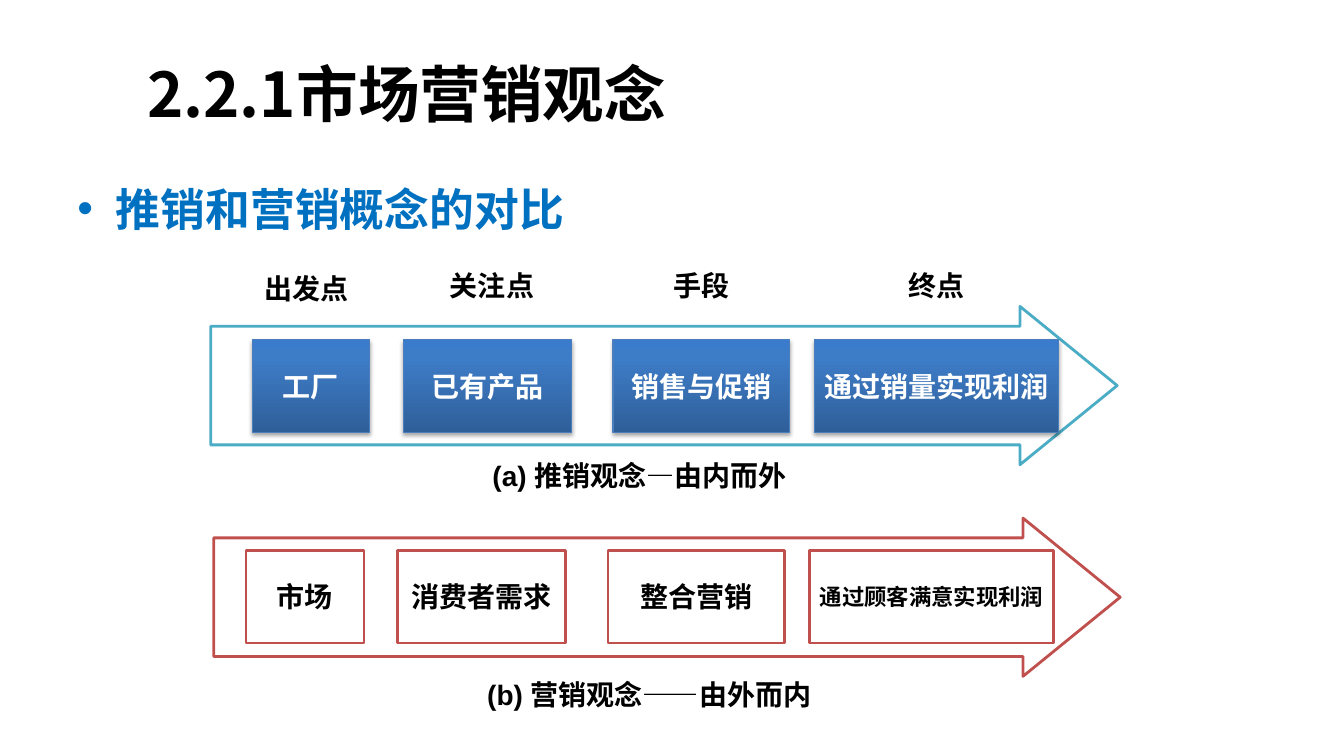
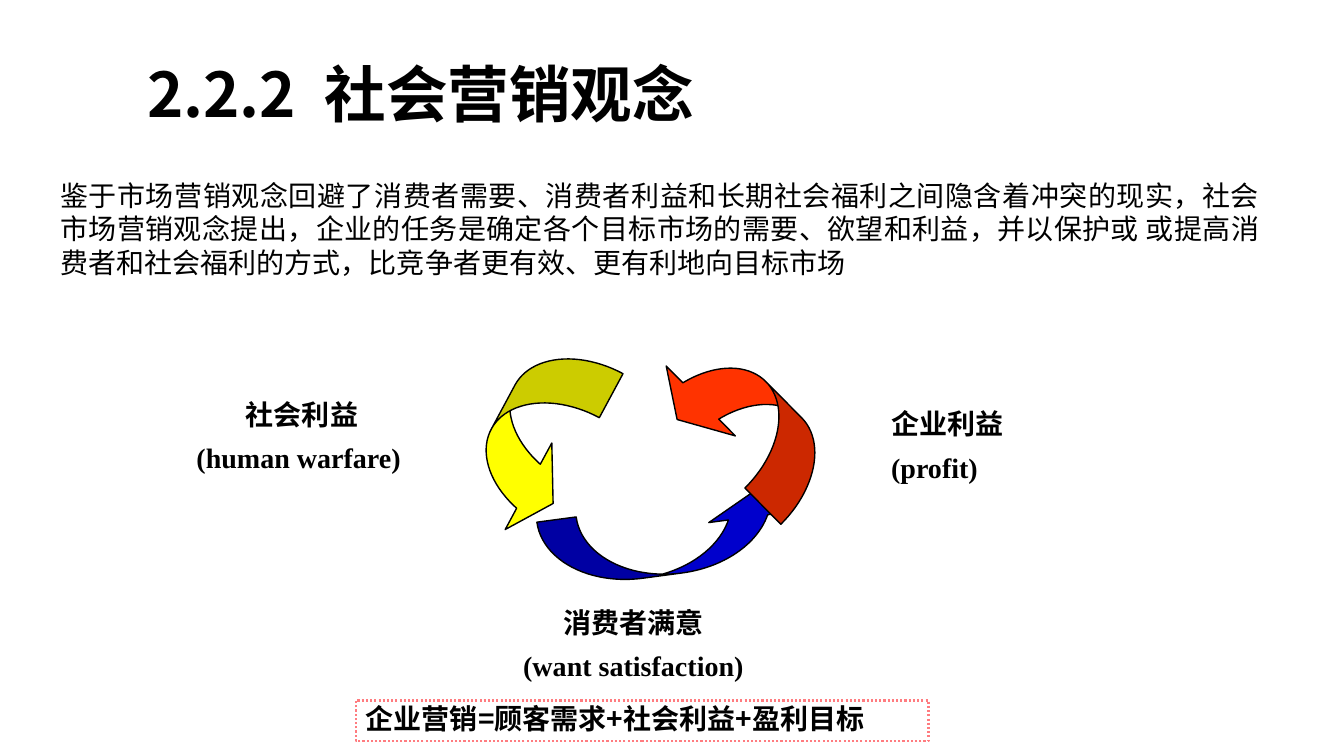
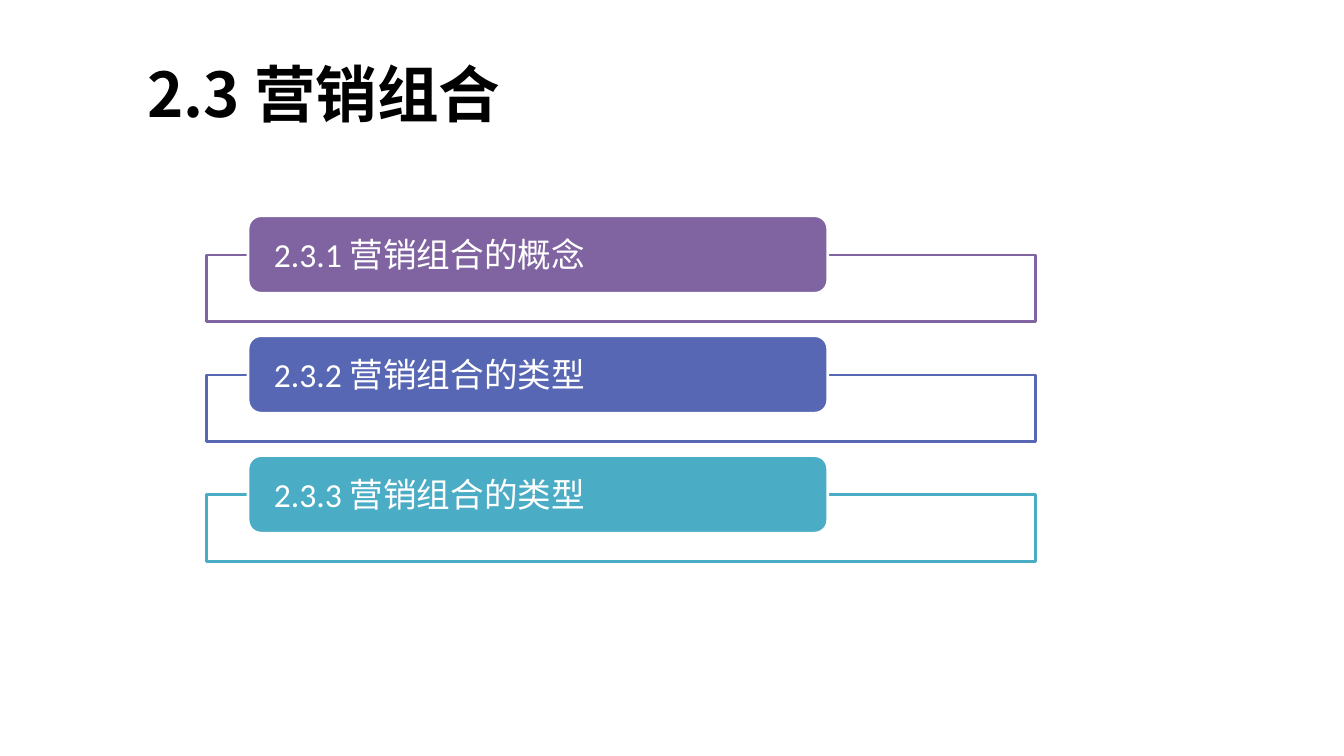
from dataclasses import dataclass
from lxml.etree import SubElement as Sub
from pptx import Presentation
from pptx.dml.color import RGBColor as Rgb
from pptx.enum.dml import MSO_LINE as Dash
from pptx.enum.shapes import MSO_SHAPE as Kind
from pptx.enum.text import MSO_ANCHOR as Anchor, MSO_AUTO_SIZE as Auto, PP_ALIGN as Align
from pptx.oxml.ns import qn
from pptx.shapes.autoshape import Shape
from pptx.slide import Slide
from pptx.util import Emu, Pt

SCALE = 9144
SANS = "Noto Sans CJK SC"
SERIF = "Times New Roman"
HEX = {
    "black": "000000", "white": "FFFFFF", "head": "0070C0",
    "red": "C0504D", "teal": "4BACC6", "edge": "4B7EBC",
    "purple": "8064A2", "indigo": "5767B4", "pink": "FF7C80",
    "blue": "0000CC", "flame": "FF3300", "yellow": "FFFF00",
    "deep": "2F5F99", "mid": "3D7CC7", "light": "3A7CCB",
}
GLOSS = ((0, "deep"), (80, "mid"), (100, "light"))


@dataclass(frozen=True)
class Box:
    left: int
    top: int
    wide: int
    high: int


@dataclass(frozen=True)
class Style:
    size: int = 20
    font: str = "Arial"
    color: str = "black"
    bold: bool = True
    align: Align = Align.CENTER
    anchor: Anchor = Anchor.MIDDLE
    wrap: bool = False
    line: float = 1.0
    inset: tuple[int, int] = (10, 5)


@dataclass(frozen=True)
class Step:
    left: int
    wide: int
    text: str
    size: int = 20


@dataclass(frozen=True)
class Flow:
    arrow: Box
    left: int
    top: int
    color: str
    gloss: bool
    steps: tuple[Step, ...]
    note: str
    place: Box


@dataclass(frozen=True)
class Curve:
    box: Box
    turn: float
    color: str
    bend: float = 0.569


TITLE = Style(44, SANS, align=Align.LEFT, wrap=True)
POINT = Style(32, SANS, "head", align=Align.LEFT, anchor=Anchor.TOP, wrap=True)
LABEL = Style(line=0.75)
NAME = Style(font=SERIF, anchor=Anchor.TOP, wrap=True)
GLOSSARY = Style(font=SERIF, align=Align.LEFT, anchor=Anchor.TOP, wrap=True)
BODY = Style(font="Calibri", bold=False, align=Align.JUSTIFY, anchor=Anchor.TOP, wrap=True)
SUM = Style(font=SANS, align=Align.LEFT, anchor=Anchor.TOP, wrap=True, line=0.9)
ITEM = Style(24, "Calibri", "white", False, Align.LEFT, wrap=True, inset=(22, 0))

FLOWS = (
    Flow(Box(212, 514, 899, 157), 244, 546, "red", False,
         (Step(0, 117, "市场"), Step(150, 167, "消费者需求"),
          Step(359, 175, "整合营销"), Step(559, 242, "通过顾客满意实现利润", 16)),
         "(b) 营销观念——由外而内", Box(203, 671, 882, 42)),
    Flow(Box(209, 304, 899, 157), 250, 337, "teal", True,
         (Step(0, 117, "工厂"), Step(150, 167, "已有产品"),
          Step(358, 175, "销售与促销"), Step(558, 242, "通过销量实现利润")),
         "(a) 推销观念—由内而外", Box(225, 454, 819, 42)),
)
HEADS = (
    (Box(233, 259, 142, 61), "出发点"),
    (Box(417, 245, 142, 83), "关注点"),
    (Box(625, 245, 142, 83), "手段"),
    (Box(858, 245, 142, 83), "终点"),
)
CURVES = (
    Curve(Box(536, 501, 253, 69), 352.4, "blue"),
    Curve(Box(640, 375, 195, 89), 225.3, "flame"),
    Curve(Box(435, 391, 195, 89), 118.3, "yellow", 0.557),
)
GOALS = (
    (Box(187, 389, 225, 44), "社会利益", NAME),
    (Box(831, 398, 217, 44), "企业利益", NAME),
    (Box(412, 596, 433, 44), "消费者满意", NAME),
    (Box(509, 638, 291, 44), "(want satisfaction)", GLOSSARY),
    (Box(185, 432, 291, 44), "(human warfare)", GLOSSARY),
    (Box(874, 442, 173, 44), "(profit)", GLOSSARY),
    (Box(50, 172, 1209, 111),
     "鉴于市场营销观念回避了消费者需要、消费者利益和长期社会福利之间隐含着冲突的现实，"
     "社会市场营销观念提出，企业的任务是确定各个目标市场的需要、欲望和利益，并以保护或 "
     "或提高消费者和社会福利的方式，比竞争者更有效、更有利地向目标市场", BODY),
)
PARTS = (
    ("purple", "2.3.1 营销组合的概念"),
    ("indigo", "2.3.2 营销组合的类型"),
    ("teal", "2.3.3 营销组合的类型"),
)


def px(num: int) -> Emu:
    return Emu(num * SCALE)


def tint(name: str) -> Rgb:
    return Rgb.from_string(HEX[name])


def frame(box: Box) -> tuple[Emu, Emu, Emu, Emu]:
    return px(box.left), px(box.top), px(box.wide), px(box.high)


def write(shape: Shape, text: str, style: Style, bullet: bool = False) -> None:
    body = shape.text_frame
    body.auto_size = Auto.NONE
    body.word_wrap = style.wrap
    body.vertical_anchor = style.anchor
    body.margin_left = body.margin_right = px(style.inset[0])
    body.margin_top = body.margin_bottom = px(style.inset[1])
    para = body.paragraphs[0]
    para.alignment = style.align
    para.line_spacing = style.line
    if bullet:
        prop = para._p.get_or_add_pPr()
        prop.set("marL", str(px(38)))
        prop.set("indent", str(px(-38)))
        Sub(prop, qn("a:buFont"), typeface="Arial")
        Sub(prop, qn("a:buChar"), char="•")
    run = para.add_run()
    run.text = text
    run.font.size = Pt(style.size)
    run.font.bold = style.bold
    run.font.color.rgb = tint(style.color)
    run.font.name = style.font
    Sub(run._r.get_or_add_rPr(), qn("a:ea"), typeface=SANS)


def label(slide: Slide, box: Box, text: str, style: Style, bullet: bool = False) -> None:
    write(slide.shapes.add_textbox(*frame(box)), text, style, bullet)


def draw(slide: Slide, kind: Kind, box: Box, fill: str | None, edge: str,
         width: float = 2) -> Shape:
    shape = slide.shapes.add_shape(kind, *frame(box))
    if fill:
        shape.fill.solid()
        shape.fill.fore_color.rgb = tint(fill)
    else:
        shape.fill.background()
    shape.line.color.rgb = tint(edge)
    shape.line.width = Pt(width)
    shape.shadow.inherit = False
    return shape


def polish(shape: Shape) -> None:
    shape.fill.gradient()
    shape.fill.gradient_angle = 90
    prop = shape._element.spPr
    stops = prop.find(".//" + qn("a:gsLst"))
    stops.clear()
    for spot, name in GLOSS:
        stop = Sub(stops, qn("a:gs"), pos=str(spot * 1000))
        Sub(stop, qn("a:srgbClr"), val=HEX[name])
    shade = Sub(prop.find(qn("a:effectLst")), qn("a:outerShdw"), blurRad=str(Pt(3.1)),
                dist=str(Pt(1.8)), dir="5400000", rotWithShape="0")
    color = Sub(shade, qn("a:srgbClr"), val=HEX["black"])
    Sub(color, qn("a:alpha"), val="35000")


def start(deck: Presentation, text: str) -> Slide:
    slide = deck.slides.add_slide(deck.slide_layouts[5])
    title = slide.shapes.title
    title.left, title.top, title.width, title.height = frame(Box(136, 30, 1131, 125))
    write(title, text, TITLE)
    return slide


def chain(slide: Slide, flow: Flow) -> None:
    arrow = draw(slide, Kind.RIGHT_ARROW, flow.arrow, "white", flow.color)
    arrow.adjustments[0] = 0.75
    arrow.adjustments[1] = 0.614
    edge, width, ink = ("edge", 0.75, "white") if flow.gloss else (flow.color, 2, "black")
    for step in flow.steps:
        box = Box(flow.left + step.left, flow.top, step.wide, 92)
        card = draw(slide, Kind.RECTANGLE, box, "white", edge, width)
        if flow.gloss:
            polish(card)
        write(card, step.text, Style(step.size, color=ink))
    label(slide, flow.place, flow.note, LABEL)


def market(deck: Presentation) -> None:
    slide = start(deck, "2.2.1市场营销观念")
    label(slide, Box(67, 175, 1200, 70), "推销和营销概念的对比", POINT, True)
    for flow in FLOWS:
        chain(slide, flow)
    for box, text in HEADS:
        label(slide, box, text, LABEL)


def social(deck: Presentation) -> None:
    slide = start(deck, "2.2.2  社会营销观念")
    for curve in CURVES:
        arrow = draw(slide, Kind.CURVED_UP_ARROW, curve.box, curve.color, "black", 1)
        arrow.rotation = curve.turn
        for spot, value in enumerate((curve.bend, 1.138, 0.333)):
            arrow.adjustments[spot] = value
    for box, text, style in GOALS:
        label(slide, box, text, style)
    total = draw(slide, Kind.RECTANGLE, Box(353, 695, 568, 40), None, "pink", 1.5)
    total.line.dash_style = Dash.ROUND_DOT
    write(total, "企业营销=顾客需求+社会利益+盈利目标", SUM)


def mix(deck: Presentation) -> None:
    slide = start(deck, "2.3 营销组合")
    for row, (color, text) in enumerate(PARTS):
        top = 214 + 119 * row
        draw(slide, Kind.RECTANGLE, Box(205, top + 39, 822, 66), "white", color)
        tab = draw(slide, Kind.ROUNDED_RECTANGLE, Box(246, top, 575, 77), color, "white")
        write(tab, text, ITEM)


def main() -> None:
    deck = Presentation()
    deck.slide_width, deck.slide_height = px(1333), px(750)
    for build in (market, social, mix):
        build(deck)
    deck.save("out.pptx")


if __name__ == "__main__":
    main()
